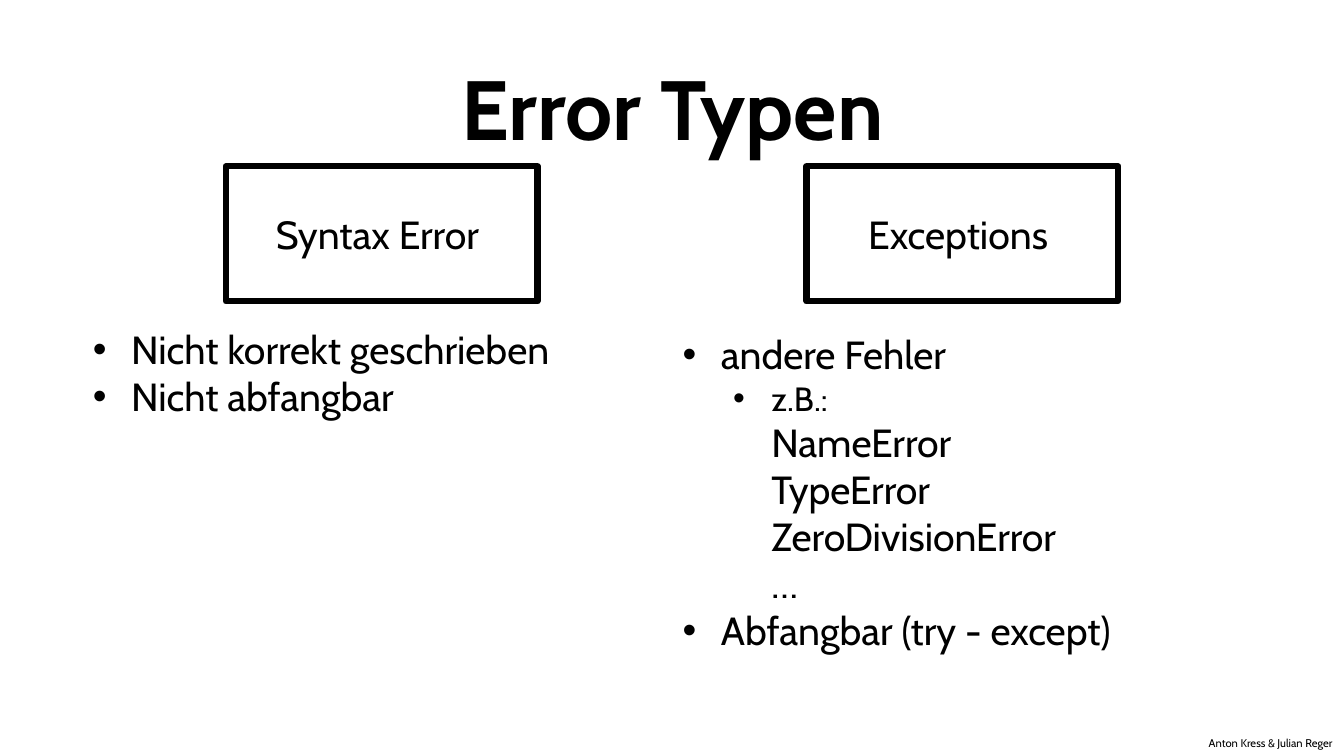
from lxml.etree import SubElement
from pptx import Presentation
from pptx.dml.color import RGBColor
from pptx.enum.shapes import MSO_SHAPE
from pptx.enum.text import MSO_ANCHOR, MSO_AUTO_SIZE as AutoSize, PP_ALIGN
from pptx.oxml.ns import qn
from pptx.util import Inches, Pt

FONT = "Cabin"
BLACK, WHITE = "000000", "FFFFFF"
INDENT, LEVEL_STEP = 0.38, 0.5


def color(hex_string):
    return RGBColor.from_string(hex_string)


def format_runs(paragraph, size, bold=False):
    for run in paragraph.runs:
        run.font.name = FONT
        run.font.size = Pt(size)
        run.font.bold = bold
        run.font.color.rgb = color(BLACK)


presentation = Presentation()
presentation.slide_width = Inches(13.33)
presentation.slide_height = Inches(7.5)
slide = presentation.slides.add_slide(presentation.slide_layouts.get_by_name("Two Content"))
title, left_list, right_list = slide.placeholders

# Title
title.left, title.top, title.width, title.height = map(Inches, (0.92, 0.4, 11.5, 1.45))
title.text_frame.text = "Error Typen"
title.text_frame.vertical_anchor = MSO_ANCHOR.MIDDLE
heading = title.text_frame.paragraphs[0]
heading.alignment = PP_ALIGN.CENTER
heading.line_spacing = 0.9
format_runs(heading, 60, bold=True)

# Framed column headings
for label, left in (("Syntax Error ", 2.24), ("Exceptions ", 8)):
    box = slide.shapes.add_shape(
        MSO_SHAPE.RECTANGLE, Inches(left), Inches(1.65), Inches(3.09), Inches(1.34))
    box.shadow.inherit = False
    box.fill.solid()
    box.fill.fore_color.rgb = color(WHITE)
    box.line.color.rgb = color(BLACK)
    box.line.width = Pt(4.5)
    box.text_frame.text = label
    box.text_frame.vertical_anchor = MSO_ANCHOR.MIDDLE
    box.text_frame.paragraphs[0].alignment = PP_ALIGN.CENTER
    format_runs(box.text_frame.paragraphs[0], 28)

# Bulleted lists: (level, text), where \v is a line break within the item
columns = (
    (left_list, (0.82, 3.18, 5.93, 1.04),
     ((0, "Nicht korrekt geschrieben"), (0, "Nicht abfangbar"))),
    (right_list, (6.67, 3.23, 5.93, 3.33),
     ((0, "andere Fehler"),
      (1, "z.B.:\vNameError\vTypeError\vZeroDivisionError\v…"),
      (0, "Abfangbar (try - except)"))),
)
for placeholder, bounds, items in columns:
    placeholder.left, placeholder.top, placeholder.width, placeholder.height = map(Inches, bounds)
    text_frame = placeholder.text_frame
    text_frame.text = "\n".join(text.replace("\v", " ") for level, text in items)
    text_frame.auto_size = AutoSize.SHAPE_TO_FIT_TEXT
    for paragraph, (level, text) in zip(text_frame.paragraphs, items):
        paragraph.text = text
        paragraph.level = level
        paragraph.space_before = Pt(0)
        format_runs(paragraph, 28)
        if level:
            paragraph.runs[0].font.size = Pt(24)
        properties = paragraph._p.get_or_add_pPr()
        properties.set("marL", str(Inches(INDENT + level * LEVEL_STEP)))
        properties.set("indent", str(-Inches(INDENT)))
        SubElement(properties, qn("a:buFont"), typeface="Arial")
        SubElement(properties, qn("a:buChar"), char="•")

# Authors
authors = slide.shapes.add_textbox(Inches(11.89), Inches(7.26), Inches(1.44), Inches(0.24))
authors.text_frame.text = "Anton Kress & Julian Reger"
authors.text_frame.word_wrap = False
format_runs(authors.text_frame.paragraphs[0], 8)

presentation.save("out.pptx")
